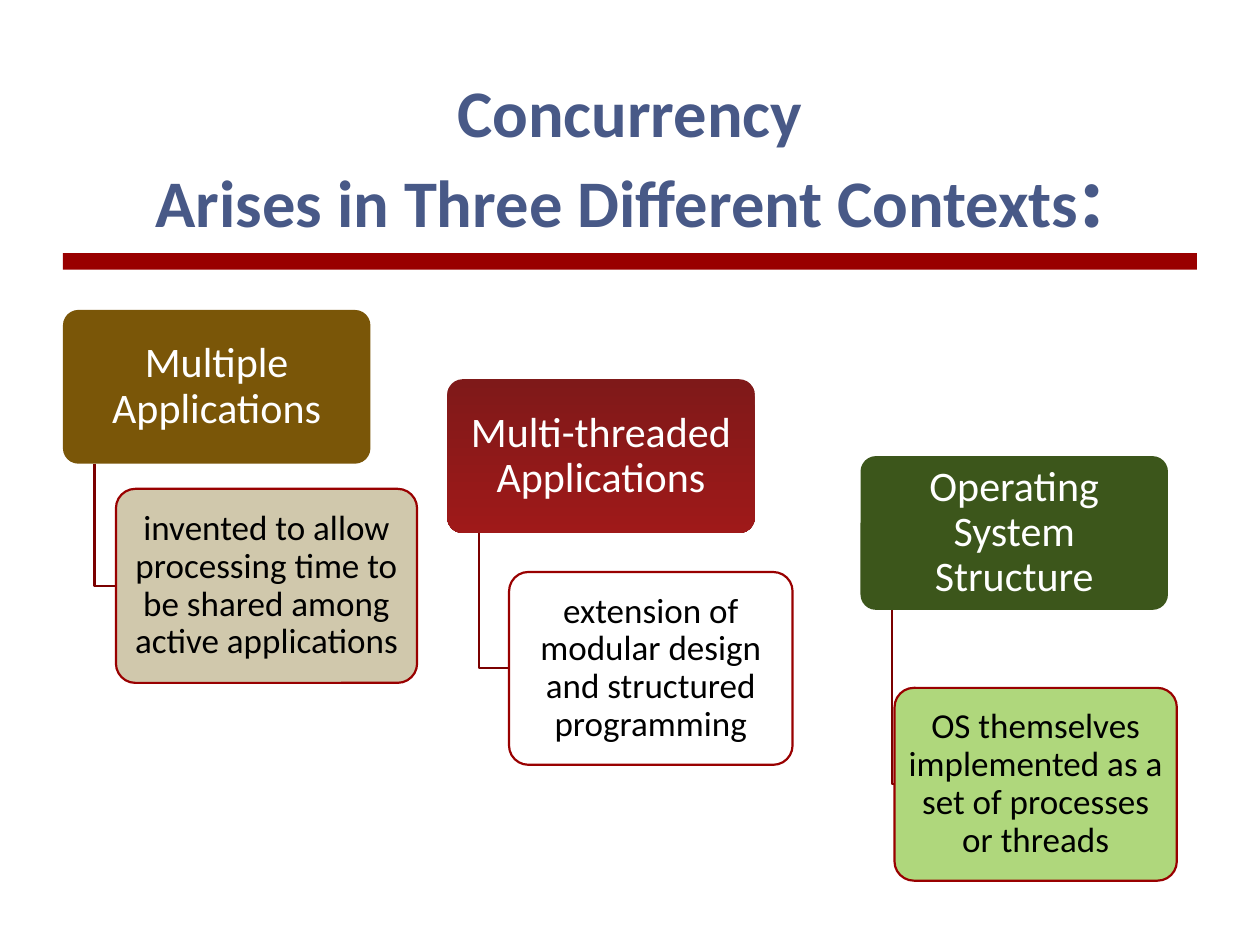
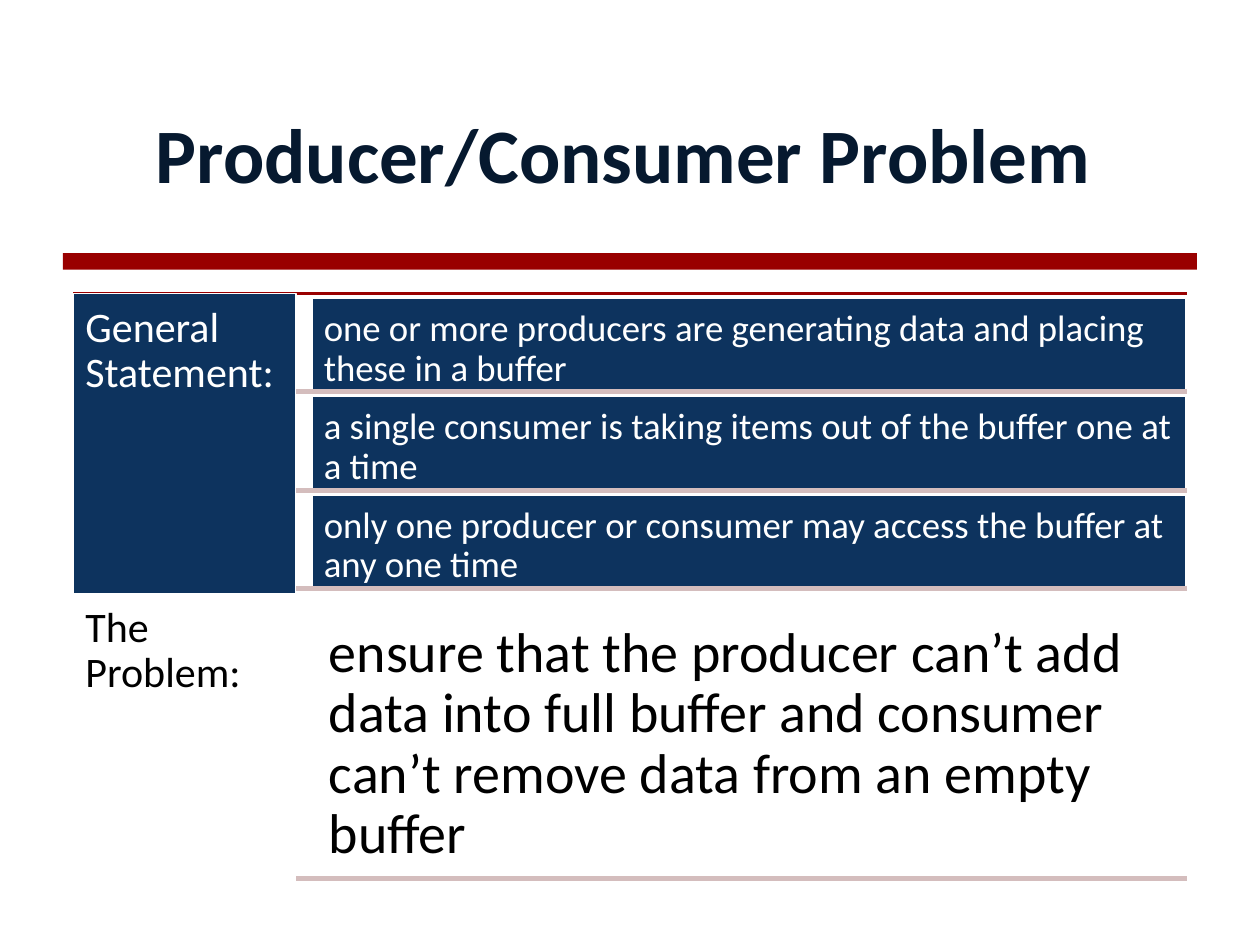
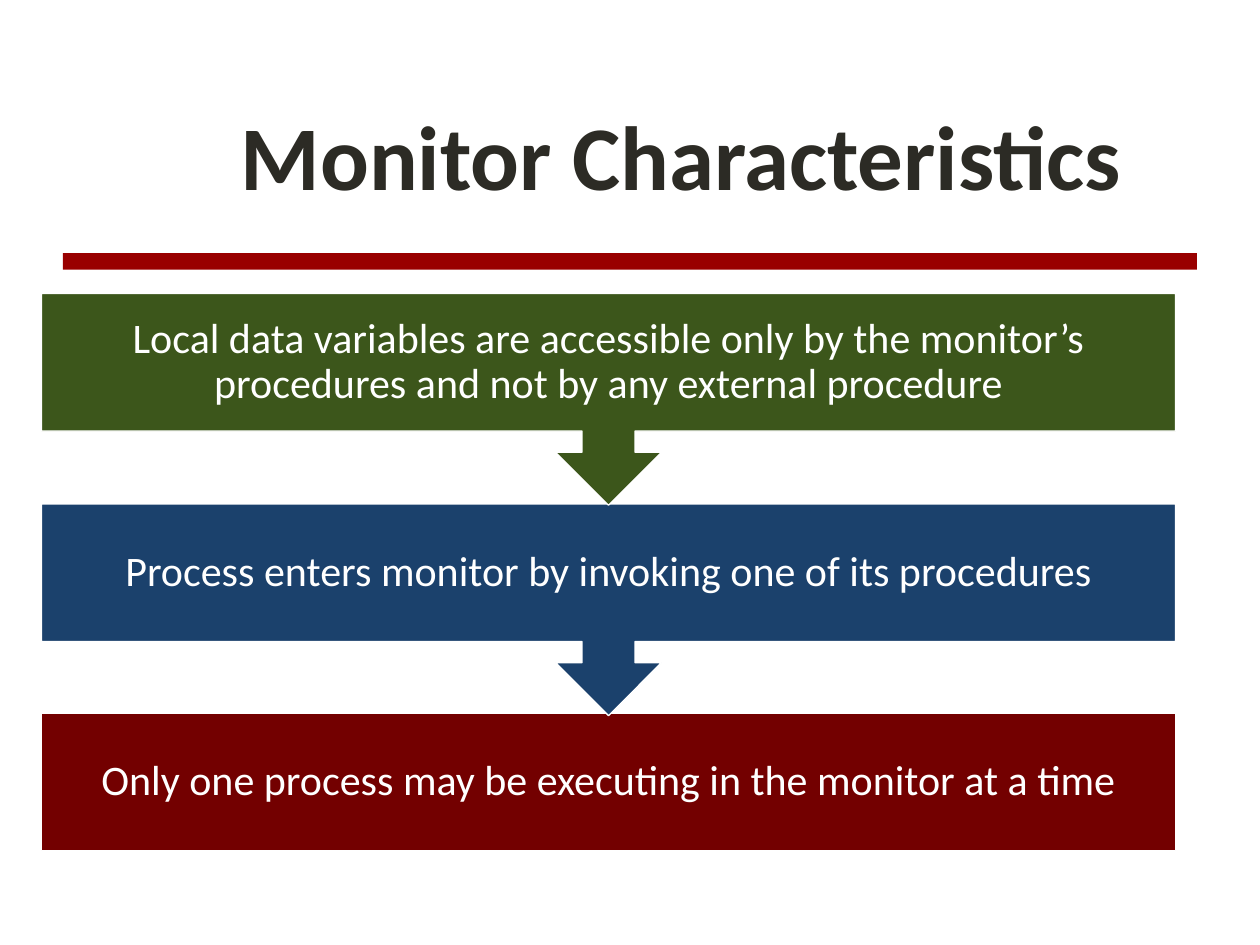
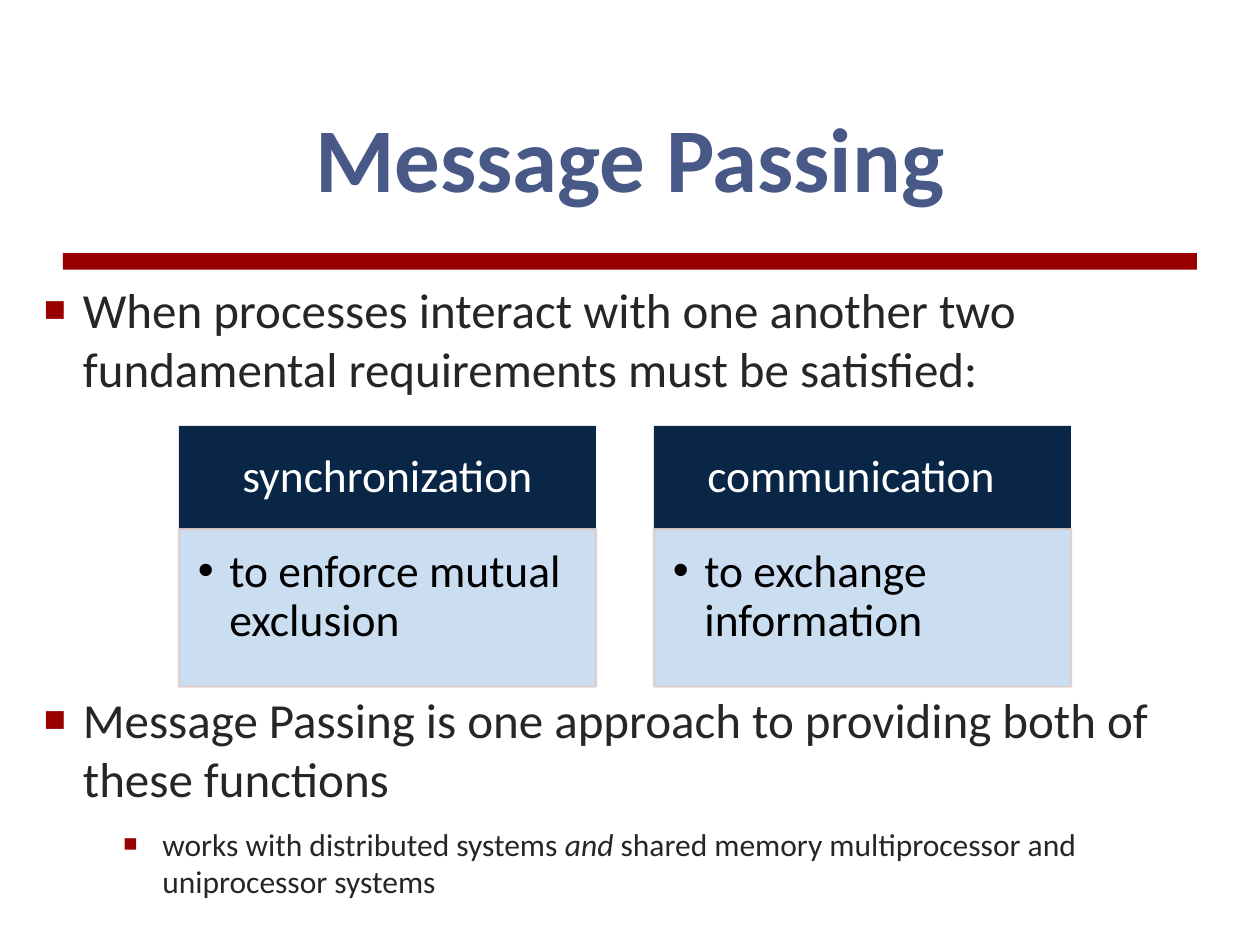
from dataclasses import dataclass

from lxml.etree import SubElement
from pptx import Presentation
from pptx.dml.color import RGBColor
from pptx.enum.shapes import MSO_CONNECTOR as CONN, MSO_SHAPE as SHAPE
from pptx.enum.text import MSO_ANCHOR as ANCHOR, MSO_AUTO_SIZE as AUTO, PP_ALIGN as ALIGN
from pptx.oxml.ns import qn
from pptx.util import Pt

PX = 9144


@dataclass(frozen=True)
class Theme:
    """Colours, font and type sizes shared by the slides."""
    font: str = "Calibri"
    white: str = "FFFFFF"
    black: str = "000000"
    body_ink: str = "262626"
    red: str = "990000"
    stem: str = "7B0000"
    maroon: str = "730000"
    red_top: str = "720000"
    red_bottom: str = "950000"
    ochre: str = "7A5608"
    sand: str = "D0C8AC"
    green: str = "3C561B"
    lime: str = "AFD77C"
    navy: str = "0D335E"
    blue: str = "1B416C"
    midnight: str = "0A2646"
    sky: str = "8CB5E2"
    rule: str = "D4BDBD"
    rose: str = "DECCCC"
    title_blue: str = "485987"
    title_navy: str = "06192F"
    title_grey: str = "2C2B25"
    title: int = 52
    title_mid: int = 44
    title_small: int = 38
    title_leading: int = 54
    statement: int = 32
    body: int = 28
    panel: int = 26
    label: int = 24
    row: int = 21
    detail: int = 20
    sub: int = 18
    hair: float = 0.75
    thin: float = 1.25
    thick: float = 2.75


T = Theme()


def rgb(color):
    """Turn a hex string into a colour."""
    return RGBColor.from_string(color)


def emu(*lengths):
    """Turn px lengths into EMU."""
    return [n * PX for n in lengths]


def fade(element, percent):
    """Set the opacity of every colour inside an element."""
    for clr in element.iter(qn("a:srgbClr")):
        SubElement(clr, qn("a:alpha"), val=str(percent * 1000))


class Deck:
    """Holds the presentation, its style and the current slide."""

    def __init__(self):
        """Open an empty deck of the right size."""
        self.prs = Presentation()
        self.prs.slide_width, self.prs.slide_height = emu(1000, 750)
        self.layout = self.prs.slide_layouts[5]
        self.slide = None

    def add_band(self):
        """Put the red band on the layout, behind its placeholders."""
        band = self.box((50, 201, 900, 13), T.red)
        band.element.nvSpPr.cNvPr.id = 20
        self.layout.shapes.element.insert(2, band.element)

    def new_slide(self, title, at, size, color, align=ALIGN.CENTER):
        """Start a slide and format its title."""
        self.slide = self.prs.slides.add_slide(self.layout)
        if len(self.prs.slides) == 1:
            self.add_band()
        s = self.slide.shapes.title
        s.left, s.top, s.width, s.height = emu(*at)
        p = self.put_text(s, title, size, color, (10, 0, 10, 0), ANCHOR.BOTTOM, align)
        p.line_spacing = Pt(T.title_leading)
        for r in p.runs:
            r.font.bold = True
        return p

    def style(self, p, size, color):
        """Format the runs of a paragraph."""
        for r in p.runs:
            r.font.name, r.font.size = T.font, Pt(size)
            r.font.color.rgb = rgb(color)

    def put_text(self, s, text, size, color, insets, anchor=ANCHOR.MIDDLE,
                 align=ALIGN.CENTER):
        """Set the text of a shape and return its paragraph."""
        tf = s.text_frame
        tf.word_wrap, tf.auto_size, tf.vertical_anchor = True, AUTO.NONE, anchor
        tf.margin_left, tf.margin_top, tf.margin_right, tf.margin_bottom = emu(*insets)
        p = tf.paragraphs[0]
        p.text, p.alignment, p.line_spacing = text, align, 0.9
        self.style(p, size, color)
        return p

    def outline(self, s, color, width):
        """Set a shape's line, or clear it."""
        if color:
            s.line.color.rgb, s.line.width = rgb(color), Pt(width)
        else:
            s.line.fill.background()

    def box(self, at, fill, line=None, width=T.thin, kind=SHAPE.RECTANGLE, opacity=100):
        """Add a preset shape; a pair of fills makes a downward gradient."""
        s = self.slide.shapes.add_shape(kind, *emu(*at))
        s.shadow.inherit = False
        if isinstance(fill, tuple):
            s.fill.gradient()
            s.fill.gradient_angle = 270
            for stop, color in zip(s.fill.gradient_stops, fill):
                stop.color.rgb = rgb(color)
        else:
            s.fill.solid()
            s.fill.fore_color.rgb = rgb(fill)
        if opacity < 100:
            fade(s.element.spPr, opacity)
        self.outline(s, line, width)
        return s

    def card(self, at, text, size, color, fill, insets, line=None, opacity=100):
        """Add a rounded box with centred text."""
        s = self.box(at, fill, line, kind=SHAPE.ROUNDED_RECTANGLE, opacity=opacity)
        s.adjustments[0] = 0.1
        self.put_text(s, text, size, color, insets)

    def text(self, at, text, size, color, inset):
        """Add a left-aligned text box with equal insets."""
        s = self.slide.shapes.add_textbox(*emu(*at))
        self.put_text(s, text, size, color, (inset,) * 4, ANCHOR.TOP, ALIGN.LEFT)

    def cell(self, at, text, size, inset):
        """Add a navy cell with text at its top left."""
        s = self.box(at, T.navy, T.white, T.hair)
        self.put_text(s, text, size, T.white, (inset,) * 4, ANCHOR.TOP, ALIGN.LEFT)

    def elbow(self, x, top, right, bottom):
        """Add a stem that goes down and then right."""
        fb = self.slide.shapes.build_freeform(x, top, scale=PX)
        fb.add_line_segments([(x, bottom), (right, bottom)], close=False)
        s = fb.convert_to_shape()
        s.shadow.inherit = False
        s.fill.background()
        self.outline(s, T.stem, T.thin)

    def rule(self, left, right, y, color, width):
        """Add a horizontal line."""
        s = self.slide.shapes.add_connector(CONN.STRAIGHT, *emu(left, y, right, y))
        self.outline(s, color, width)
        SubElement(s.element.spPr, qn("a:effectLst"))

    def bullet(self, p, char, left, hang, color=None, percent=100):
        """Give a paragraph a hanging bullet."""
        pPr = p._p.get_or_add_pPr()
        pPr.set("marL", str(left * PX))
        pPr.set("indent", str(-hang * PX))
        if color:
            SubElement(SubElement(pPr, qn("a:buClr")), qn("a:srgbClr"), val=color)
        SubElement(pPr, qn("a:buSzPct"), val=str(percent * 1000))
        SubElement(pPr, qn("a:buFont"), typeface="Arial")
        SubElement(pPr, qn("a:buChar"), char=char)

    def item(self, p, text, size, left, before, level=0):
        """Fill a body paragraph with a red square bullet."""
        p.text, p.level, p.space_before = text, level, Pt(before)
        self.style(p, size, T.body_ink)
        self.bullet(p, "■", left, 31, T.red, 75)


def contexts(deck):
    """Show the three contexts of concurrency."""
    p = deck.new_slide("Concurrency\vArises in Three Different Contexts",
                       (72, 50, 856, 145), T.title_small, T.title_blue)
    r = p.add_run()
    r.text = ":"
    deck.style(p, T.title_small, T.title_blue)
    r.font.bold, r.font.size = True, Pt(T.title)
    nodes = [
        ((50, 246), "Multiple Applications", T.ochre, 100, (92, 388, 239, 154),
         "invented to allow processing time to be shared among active applications", T.sand, 100),
        ((355, 301), "Multi-threaded Applications", (T.red_top, T.red_bottom), 90,
         (404, 454, 225, 153),
         "extension of modular design and structured programming", T.white, 90),
        ((683, 362), "Operating System Structure", T.green, 100, (710, 546, 224, 153),
         "OS themselves implemented as a set of processes or threads", T.lime, 100),
    ]
    width, height = 244, 122
    for (x, y), head, fill, opacity, child, detail, pale, pale_opacity in nodes:
        left, top, _, tall = child
        deck.card((x, y, width, height), head, T.label, T.white, fill, (5, 3, 5, 3),
                  opacity=opacity)
        deck.elbow(x + 25, y + height, left, top + tall // 2)
        deck.card(child, detail, T.detail, T.black, pale, (4, 3, 4, 3), T.red, pale_opacity)


def producer_consumer(deck):
    """State the producer/consumer problem."""
    deck.new_slide("Producer/Consumer Problem", (67, 83, 856, 75), T.title_mid, T.title_navy)
    left, split, right, top, half = 58, 235, 942, 233, 238
    deck.rule(left, right, top, T.red, T.thin)
    deck.cell((left, top, split - left, half), "General Statement:", T.label, 10)
    statements = [
        "one or more producers are generating data and placing these in a buffer",
        "a single consumer is taking items out of the buffer one at a time",
        "only one producer or consumer may access the buffer at any one time",
    ]
    for i, statement in enumerate(statements):
        y = 237 + 78 * i
        deck.cell((248, y, 693, 74), statement, T.row, 9)
        deck.rule(split, right, y + 74, T.rule, T.thick)
    deck.text((left, top + half, split - left, half), "The Problem:", T.label, T.black, 10)
    deck.text((248, 482, 693, 216),
              "ensure that the producer can’t add data into full buffer and consumer "
              "can’t remove data from an empty buffer", T.statement, T.black, 13)
    deck.rule(split, right, 697, T.rule, T.thick)


def monitor(deck):
    """List the characteristics of a monitor."""
    deck.new_slide("Monitor Characteristics", (17, 33, 883, 133), T.title, T.title_grey,
                   ALIGN.RIGHT)
    steps = [
        ("Only one process may be executing in the monitor at a time",
         566, 109, T.maroon, SHAPE.RECTANGLE),
        ("Process enters monitor by invoking one of its procedures",
         400, 168, T.blue, SHAPE.DOWN_ARROW_CALLOUT),
        ("Local data variables are accessible only by the monitor’s procedures "
         "and not by any external procedure",
         233, 168, T.green, SHAPE.DOWN_ARROW_CALLOUT),
    ]
    for text, y, height, fill, kind in steps:
        s = deck.box((33, y, 900, height), fill, T.white, T.hair, kind)
        deck.put_text(s, text, T.label, T.white, (19,) * 4)


def message_passing(deck):
    """Explain message passing and its two requirements."""
    deck.new_slide("Message Passing", (72, 50, 856, 117), T.title, T.title_blue)
    tf = deck.slide.shapes.add_textbox(*emu(25, 217, 975, 533)).text_frame
    tf.word_wrap = True
    deck.item(tf.paragraphs[0], "When processes interact with one another two fundamental "
              "requirements must be satisfied:", T.body, 31, 18)
    deck.item(tf.add_paragraph(), "Message Passing is one approach to providing both of "
              "these functions", T.body, 31, 167)
    p = tf.add_paragraph()
    deck.item(p, "works with distributed systems ", T.sub, 94, 10, 2)
    for text, italic in (("and", True),
                         (" shared memory multiprocessor and uniprocessor systems", False)):
        r = p.add_run()
        r.text, r.font.italic = text, italic
    deck.style(p, T.sub, T.body_ink)

    panels = [("synchronization", "to enforce mutual exclusion", 20),
              ("communication", "to exchange information", 38)]
    for i, (head, detail, right_inset) in enumerate(panels):
        x = 142 + 377 * i
        s = deck.box((x, 338, 331, 82), T.midnight)
        deck.put_text(s, head, T.panel, T.white, (20, 12, right_inset, 12))
        s = deck.box((x, 420, 331, 125), T.sky, T.rose, opacity=46)
        fade(s.element.spPr.find(qn("a:ln")), 90)
        p = deck.put_text(s, detail, T.panel, T.black, (15, 15, 20, 23), ANCHOR.TOP, ALIGN.LEFT)
        deck.bullet(p, "•", 25, 25)


def main():
    """Build the slides and save them."""
    deck = Deck()
    for build in (contexts, producer_consumer, monitor, message_passing):
        build(deck)
    deck.prs.save("out.pptx")


if __name__ == "__main__":
    main()
